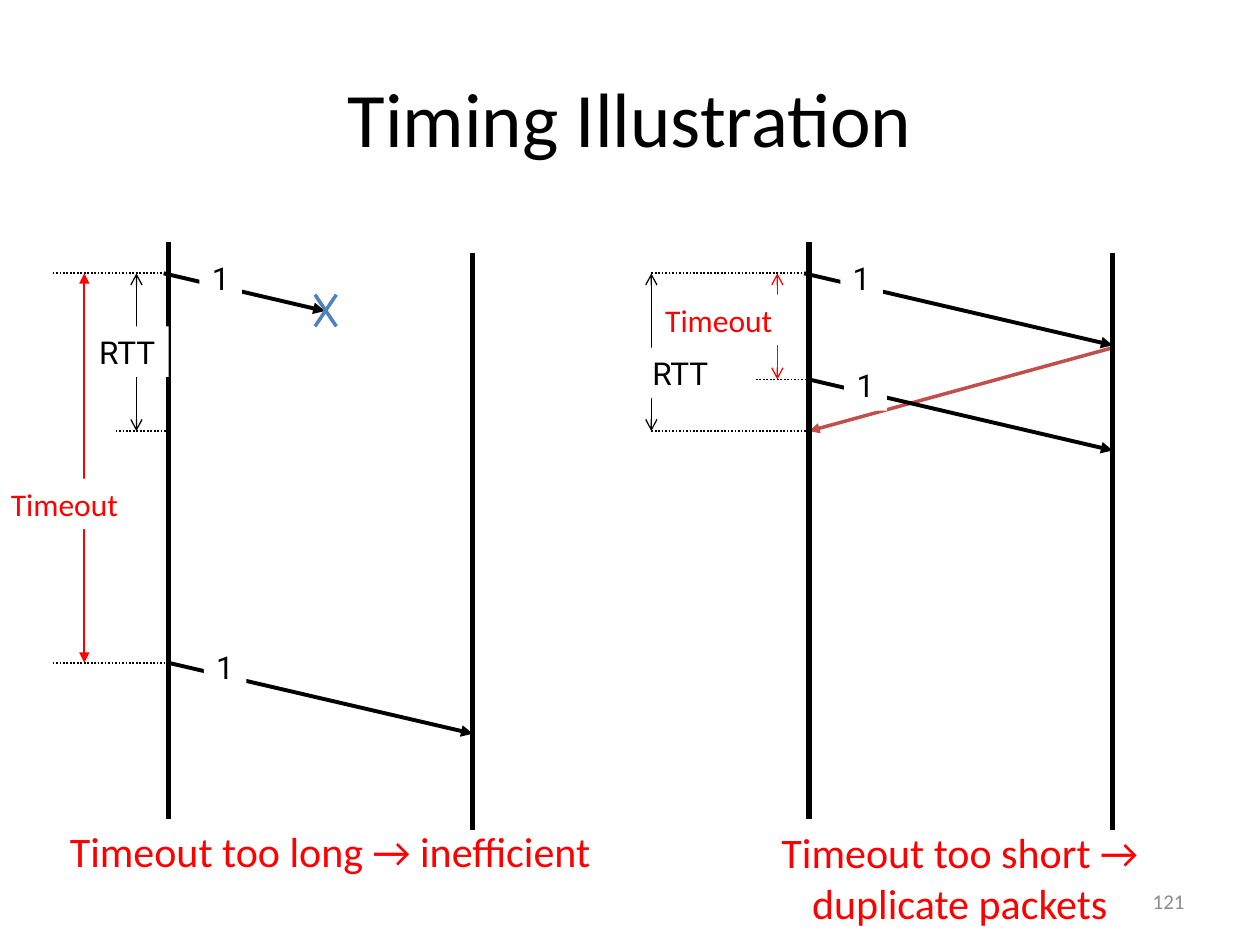
"""Build the slide that compares too long and too short retransmission timeouts."""
import dataclasses
import typing

import lxml.etree
import pptx
import pptx.dml.color
import pptx.enum.dml
import pptx.enum.shapes
import pptx.enum.text
import pptx.oxml.ns
import pptx.util

Cm = pptx.util.Cm
Align = pptx.enum.text.PP_ALIGN
Anchor = pptx.enum.text.MSO_ANCHOR


@dataclasses.dataclass(frozen=True)
class Theme:
    ink: str = "000000"
    paper: str = "FFFFFF"
    alert: str = "FF0000"
    reply: str = "C0504D"
    loss: str = "4F81BD"
    muted: str = "8C8C8C"
    body_font: str = "Calibri"
    label_font: str = "Roboto"
    title_size: int = 44
    caption_size: int = 24
    label_size: int = 18
    number_size: int = 12


THEME = Theme()


@dataclasses.dataclass(frozen=True)
class Pen:
    color: str
    width: float
    head: str = ""
    tail: str = ""
    dotted: bool = False


LIFELINE = Pen(THEME.ink, 3)
PACKET = Pen(THEME.ink, 2.25, tail="triangle")
REPLY = Pen(THEME.reply, 2, tail="triangle")
CROSS = Pen(THEME.loss, 2)
GUIDE = Pen(THEME.ink, 1, dotted=True)
RTT_SPAN = Pen(THEME.ink, 0.75, "arrow", "arrow")
SHORT_TIMEOUT = Pen(THEME.alert, 0.75, "arrow", "arrow")
LONG_TIMEOUT = Pen(THEME.alert, 1, "triangle", "triangle")


@dataclasses.dataclass(frozen=True)
class Stroke:
    pen: Pen
    x1: float
    y1: float
    x2: float
    y2: float


@dataclasses.dataclass(frozen=True)
class Label:
    text: str
    left: float
    top: float
    width: float
    color: str = THEME.ink
    font: str = THEME.label_font


@dataclasses.dataclass(frozen=True)
class Caption:
    lines: tuple[str, ...]
    left: float
    top: float
    width: float
    height: float
    size: int
    color: str
    align: Align = Align.CENTER
    anchor: Anchor = Anchor.TOP


SENDER_1, RECEIVER_1 = 3.39, 9.53
SENDER_2, RECEIVER_2 = 16.31, 22.43
SENDER_TOP, SENDER_BOTTOM = 4.88, 16.52
RECEIVER_SHIFT = 0.22
SENT, REPLIED = 5.51, 8.69
LATE_RESEND, EARLY_RESEND = 13.36, 7.65
DELAY = 1.43
LABEL_HEIGHT = 1.02


def lifelines(sender: float, receiver: float) -> list[Stroke]:
    """Return the vertical time axes of one sender and receiver pair."""
    return [
        Stroke(LIFELINE, x, SENDER_TOP + shift, x, SENDER_BOTTOM + shift)
        for x, shift in ((sender, 0), (receiver, RECEIVER_SHIFT))
    ]


def packet_label(left: float, top: float) -> Label:
    """Return the sequence number that sits on a packet arrow."""
    return Label("1", left, top, 0.86)


def timeout_label(left: float, top: float) -> Label:
    """Return the red timeout name."""
    return Label("Timeout", left, top, 3.2, THEME.alert, THEME.body_font)


def rtt_label(left: float, top: float) -> Label:
    """Return the round trip name."""
    return Label("RTT", left, top, 1.65)


LONG_PANEL = [
    *lifelines(SENDER_1, RECEIVER_1),
    Stroke(PACKET, 3.3, SENT, 6.55, 6.27),
    packet_label(4.02, 5.1),
    Stroke(PACKET, SENDER_1, LATE_RESEND, RECEIVER_1, LATE_RESEND + DELAY),
    packet_label(4.11, 12.94),
    Stroke(RTT_SPAN, 2.75, SENT, 2.75, REPLIED),
    rtt_label(1.75, 6.58),
    Stroke(CROSS, 6.35, 5.94, 6.78, 6.58),
    Stroke(CROSS, 6.78, 5.94, 6.35, 6.58),
    Stroke(LONG_TIMEOUT, 1.7, SENT, 1.7, LATE_RESEND),
    timeout_label(-0.03, 9.65),
    Stroke(GUIDE, 1.06, LATE_RESEND, SENDER_1, LATE_RESEND),
    Stroke(GUIDE, 1.06, SENT, SENDER_1, SENT),
    Stroke(GUIDE, 2.33, REPLIED, SENDER_1, REPLIED),
]

SHORT_PANEL = [
    Stroke(SHORT_TIMEOUT, 15.67, SENT, 15.67, EARLY_RESEND),
    Stroke(PACKET, 16.21, SENT, RECEIVER_2, 6.96),
    packet_label(16.94, 5.1),
    Stroke(REPLY, RECEIVER_2, 7.01, SENDER_2, REPLIED),
    Stroke(PACKET, SENDER_2, EARLY_RESEND, RECEIVER_2, EARLY_RESEND + DELAY),
    packet_label(17.02, 7.26),
    Stroke(GUIDE, 13.13, REPLIED, SENDER_2, REPLIED),
    Stroke(GUIDE, 13.13, SENT, SENDER_2, SENT),
    timeout_label(13.16, 5.94),
    Stroke(GUIDE, 15.24, EARLY_RESEND, SENDER_2, EARLY_RESEND),
    *lifelines(SENDER_2, RECEIVER_2),
    Stroke(RTT_SPAN, 13.13, SENT, 13.13, REPLIED),
    rtt_label(12.9, 7.01),
]

CAPTIONS = [
    Caption(("Timing Illustration",), 1.27, 0.76, 22.86, 3.18,
            THEME.title_size, THEME.ink, anchor=Anchor.MIDDLE),
    Caption(("Timeout too long → inefficient",), 0.18, 16.51, 12.95, 1.28,
            THEME.caption_size, THEME.alert),
    Caption(("Timeout too short → ", "duplicate packets "), 13.49, 16.54, 11.91, 2.31,
            THEME.caption_size, THEME.alert),
    Caption(("121",), 18.2, 17.65, 5.93, 1.02,
            THEME.number_size, THEME.muted, Align.RIGHT, Anchor.MIDDLE),
]


def rgb(color: str) -> pptx.dml.color.RGBColor:
    """Turn a hexadecimal string into a colour."""
    return pptx.dml.color.RGBColor.from_string(color)


def draw_stroke(slide: typing.Any, stroke: Stroke) -> None:
    """Draw a straight line with its dash and arrowheads."""
    pen = stroke.pen
    connector = slide.shapes.add_connector(
        pptx.enum.shapes.MSO_CONNECTOR.STRAIGHT,
        Cm(stroke.x1), Cm(stroke.y1), Cm(stroke.x2), Cm(stroke.y2))
    connector.line.color.rgb = rgb(pen.color)
    connector.line.width = pptx.util.Pt(pen.width)
    if pen.dotted:
        connector.line.dash_style = pptx.enum.dml.MSO_LINE.ROUND_DOT
    outline = connector.line._get_or_add_ln()
    for tag, kind in (("a:headEnd", pen.head), ("a:tailEnd", pen.tail)):
        if kind:
            lxml.etree.SubElement(outline, pptx.oxml.ns.qn(tag), type=kind)
    lxml.etree.SubElement(connector._element.spPr, pptx.oxml.ns.qn("a:effectLst"))


def style(para: typing.Any, text: str, font: str, size: int, color: str, align: Align) -> None:
    """Fill a paragraph and set its look."""
    para.text = text
    para.alignment = align
    para.font.name = font
    para.font.size = pptx.util.Pt(size)
    para.font.color.rgb = rgb(color)


def draw_label(slide: typing.Any, label: Label) -> None:
    """Draw a name on a white box that interrupts the line behind it."""
    box = slide.shapes.add_shape(
        pptx.enum.shapes.MSO_SHAPE.RECTANGLE,
        Cm(label.left), Cm(label.top), Cm(label.width), Cm(LABEL_HEIGHT))
    box.shadow.inherit = False
    box.fill.solid()
    box.fill.fore_color.rgb = rgb(THEME.paper)
    box.line.fill.background()
    frame = box.text_frame
    frame.word_wrap = False
    frame.auto_size = pptx.enum.text.MSO_AUTO_SIZE.SHAPE_TO_FIT_TEXT
    frame.vertical_anchor = Anchor.TOP
    style(frame.paragraphs[0], label.text, label.font, THEME.label_size, label.color, Align.LEFT)


def draw_caption(slide: typing.Any, caption: Caption) -> None:
    """Draw a free text box with one paragraph for each line."""
    box = slide.shapes.add_textbox(
        Cm(caption.left), Cm(caption.top), Cm(caption.width), Cm(caption.height))
    frame = box.text_frame
    frame.word_wrap = True
    frame.vertical_anchor = caption.anchor
    for index, line in enumerate(caption.lines):
        para = frame.add_paragraph() if index else frame.paragraphs[0]
        style(para, line, THEME.body_font, caption.size, caption.color, caption.align)


def main() -> None:
    """Build and save the deck."""
    deck = pptx.Presentation()
    deck.slide_width, deck.slide_height = Cm(25.4), Cm(19.05)
    slide = deck.slides.add_slide(deck.slide_layouts[6])
    painters = {Stroke: draw_stroke, Label: draw_label, Caption: draw_caption}
    for item in [*LONG_PANEL, *SHORT_PANEL, *CAPTIONS]:
        painters[type(item)](slide, item)
    deck.save("out.pptx")


if __name__ == "__main__":
    main()
